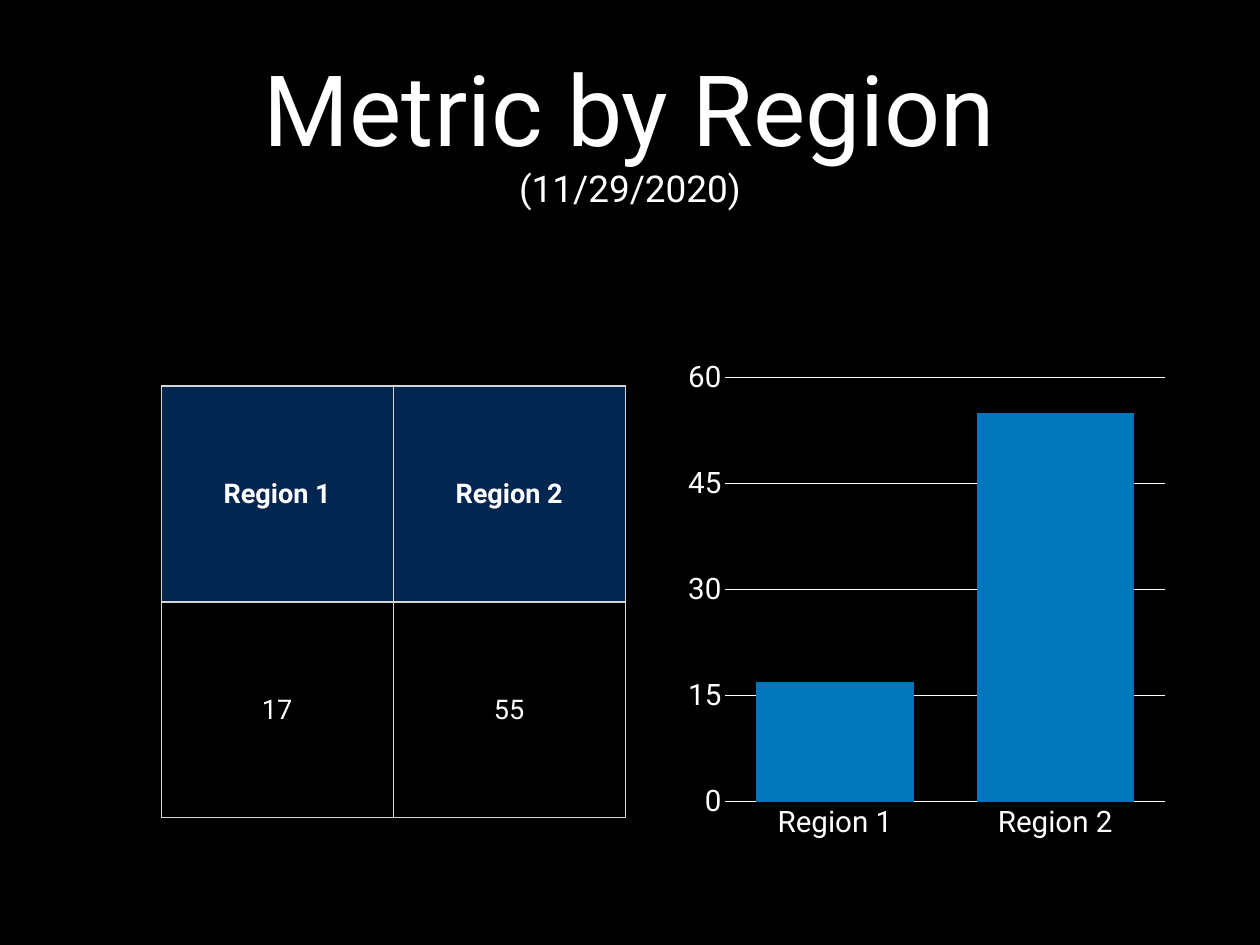
from lxml import etree
from pptx import Presentation
from pptx.chart.data import CategoryChartData
from pptx.dml.color import RGBColor
from pptx.enum.chart import XL_CHART_TYPE, XL_TICK_MARK
from pptx.enum.text import MSO_ANCHOR, PP_ALIGN
from pptx.oxml import parse_xml
from pptx.oxml.ns import nsdecls, qn
from pptx.util import Cm, Pt

COLUMNS = XL_CHART_TYPE.COLUMN_CLUSTERED
NO_TICK = XL_TICK_MARK.NONE
MIDDLE = MSO_ANCHOR.MIDDLE
CENTER = PP_ALIGN.CENTER

FONT = "Roboto"
WHITE = "FFFFFF"
BLACK = "000000"
NAVY = "032650"
BLUE = "0076BA"
GRAY = "D6D6D6"
INSET = Cm(0.15)
REGIONS = ["Region 1", "Region 2"]
VALUES = [17, 55]


def color(code):
    return RGBColor.from_string(code)


def style_font(font, size, bold=False):
    font.name = FONT
    font.size = Pt(size)
    font.bold = bold
    font.color.rgb = color(WHITE)


def add_span(para, text, size, bold=False):
    para.alignment = CENTER
    span = para.add_run()
    span.text = text
    style_font(span.font, size, bold)


def set_insets(holder):
    holder.margin_left = holder.margin_right = INSET
    holder.margin_top = holder.margin_bottom = INSET
    holder.vertical_anchor = MIDDLE


def add_title(page, lines):
    box = page.shapes.add_textbox(Cm(2.64), Cm(0.71), Cm(30.84), Cm(5.99))
    frame = box.text_frame
    frame.word_wrap = True
    set_insets(frame)
    for index, (text, size) in enumerate(lines):
        para = frame.add_paragraph() if index else frame.paragraphs[0]
        add_span(para, text, size)


def add_border(cell, side, width):
    line = etree.SubElement(cell._tc.get_or_add_tcPr(), qn(f"a:{side}"), w=str(Pt(width)))
    fill = etree.SubElement(line, qn("a:solidFill"))
    etree.SubElement(fill, qn("a:srgbClr"), val=GRAY)


def fill_cell(cell, text, header):
    set_insets(cell)
    add_span(cell.text_frame.paragraphs[0], text, 22, header)
    widths = {"lnL": 1, "lnR": 1, "lnT": 1, "lnB": 2 if header else 1}
    for side, width in widths.items():
        add_border(cell, side, width)
    if header:
        cell.fill.solid()
        cell.fill.fore_color.rgb = color(NAVY)
    else:
        cell.fill.background()


def add_region_table(page):
    rows = [REGIONS, VALUES]
    frame = page.shapes.add_table(
        len(rows), len(REGIONS), Cm(4.62), Cm(11.07), Cm(13.3), Cm(12.38))
    table = frame.table
    table.horz_banding = False
    for row, texts in enumerate(rows):
        for column, text in enumerate(texts):
            fill_cell(table.cell(row, column), str(text), row == 0)


def set_plot_area(chart, x, y, width, height):
    layout = parse_xml(
        f'<c:layout {nsdecls("c")}><c:manualLayout><c:layoutTarget val="inner"/>'
        '<c:xMode val="edge"/><c:yMode val="edge"/>'
        f'<c:x val="{x}"/><c:y val="{y}"/><c:w val="{width}"/><c:h val="{height}"/>'
        '</c:manualLayout></c:layout>')
    area = chart._chartSpace.chart.plotArea
    for old in area.findall(qn("c:layout")):
        area.remove(old)
    area.insert(0, layout)


def style_line(line):
    line.color.rgb = color(WHITE)
    line.width = Pt(1)


def style_axis(axis):
    axis.major_tick_mark = NO_TICK
    axis.minor_tick_mark = NO_TICK
    style_font(axis.tick_labels.font, 24)


def add_metric_chart(page):
    data = CategoryChartData()
    data.categories = REGIONS
    data.add_series("Metric", VALUES)
    chart = page.shapes.add_chart(
        COLUMNS, Cm(19.13), Cm(8.36), Cm(14.35), Cm(16.28), data).chart
    style_font(chart.font, 10)
    chart.has_title = False
    chart.has_legend = False
    set_plot_area(chart, 0.115, 0.152, 0.88, 0.747)

    plot = chart.plots[0]
    plot.gap_width = 40
    plot.overlap = -10
    plot.vary_by_categories = False
    bars = plot.series[0].format.fill
    bars.solid()
    bars.fore_color.rgb = color(BLUE)

    style_axis(chart.category_axis)
    style_line(chart.category_axis.format.line)
    scale = chart.value_axis
    style_axis(scale)
    scale.minimum_scale = 0
    scale.maximum_scale = 60
    scale.major_unit = 15
    scale.format.line.fill.background()
    style_line(scale.major_gridlines.format.line)


def main():
    deck = Presentation()
    deck.slide_width = Cm(36.12)
    deck.slide_height = Cm(27.1)
    page = deck.slides.add_slide(deck.slide_layouts[6])
    page.background.fill.solid()
    page.background.fill.fore_color.rgb = color(BLACK)
    add_title(page, [("Metric by Region", 80), ("(11/29/2020)", 30)])
    add_region_table(page)
    add_metric_chart(page)
    deck.save("out.pptx")


if __name__ == "__main__":
    main()
